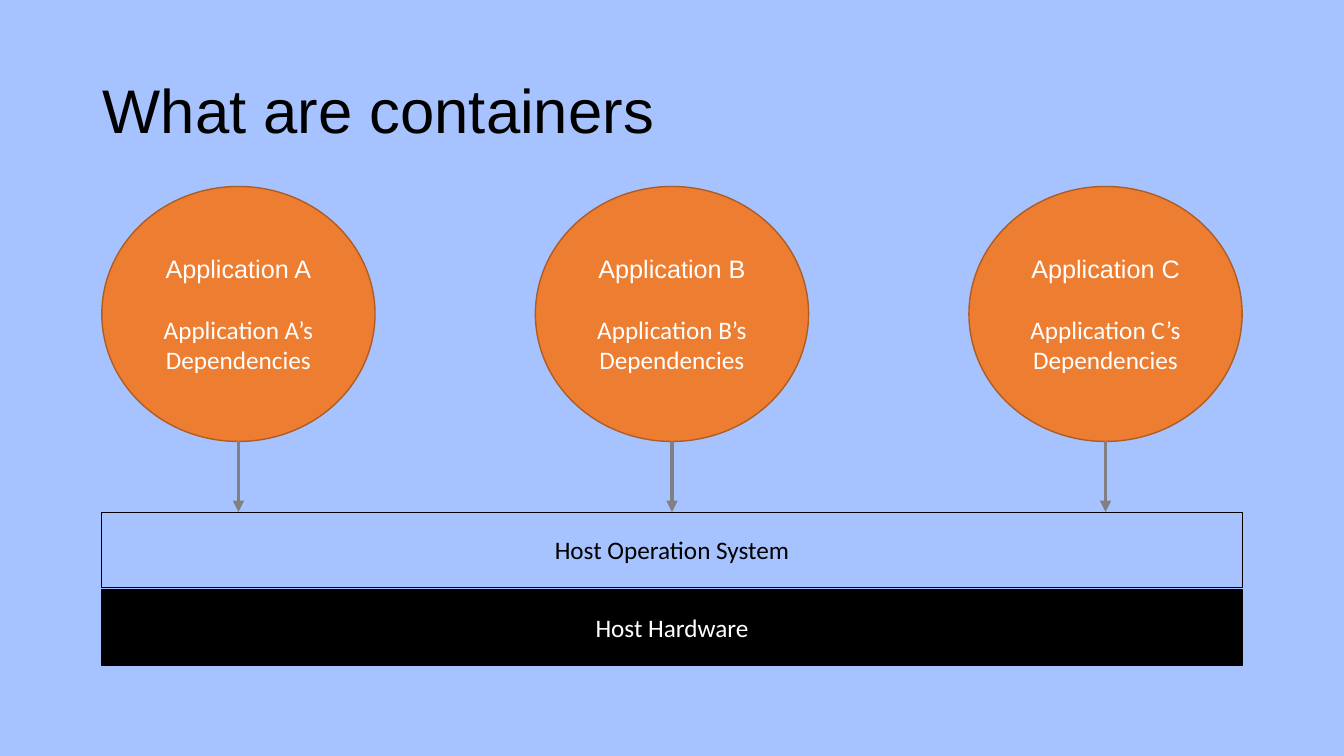
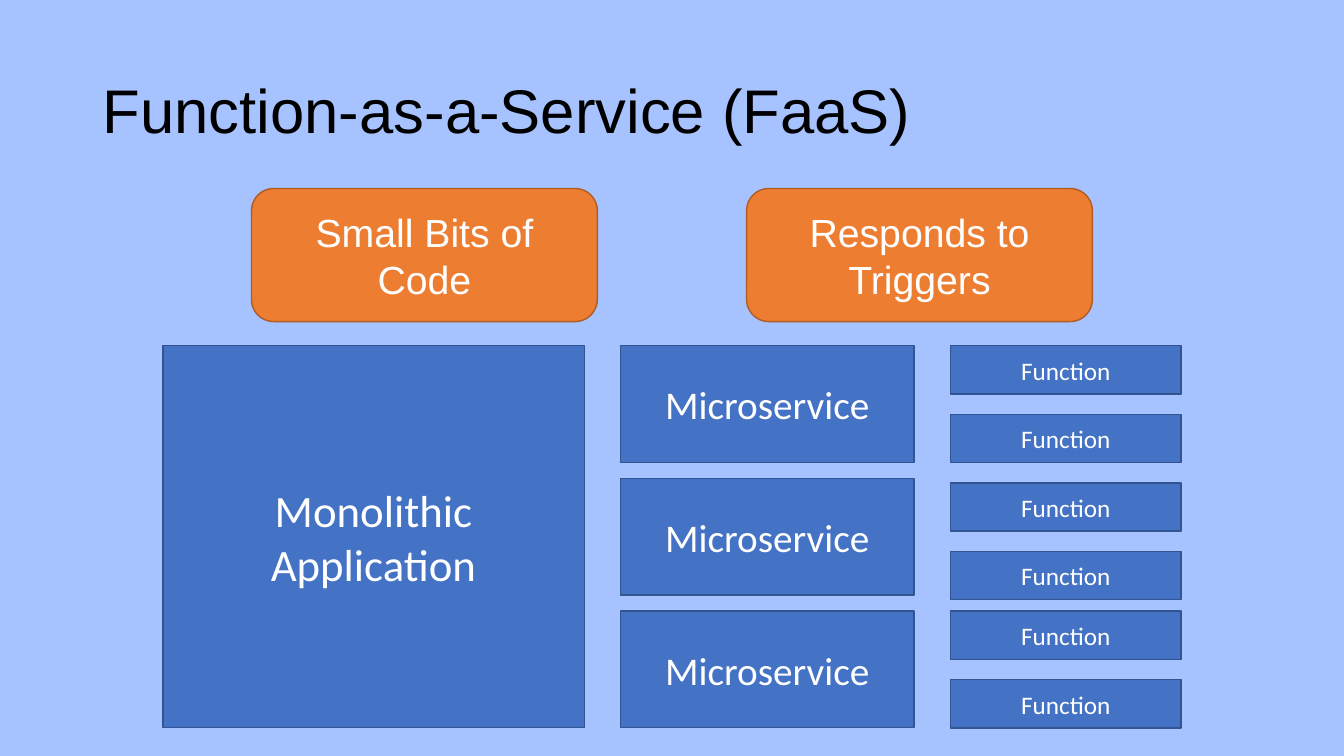
import lxml.etree
import pptx
import pptx.dml.color
import pptx.enum.shapes
import pptx.enum.text
import pptx.oxml.ns
import pptx.util

RGBColor = pptx.dml.color.RGBColor
Inches = pptx.util.Inches
Pt = pptx.util.Pt
SHAPE = pptx.enum.shapes.MSO_SHAPE
ALIGN = pptx.enum.text.PP_ALIGN
ANCHOR = pptx.enum.text.MSO_ANCHOR
qn = pptx.oxml.ns.qn

SKY = RGBColor(0xA6, 0xC3, 0xFF)
ORANGE = RGBColor(0xED, 0x7D, 0x31)
RUST = RGBColor(0xAF, 0x5C, 0x24)
BLUE = RGBColor(0x44, 0x72, 0xC4)
NAVY = RGBColor(0x32, 0x54, 0x91)
GRAY = RGBColor(0x80, 0x80, 0x80)
BLACK = RGBColor(0, 0, 0)
WHITE = RGBColor(0xFF, 0xFF, 0xFF)

HEADING, BODY = "Arial", "Calibri"
SLIDE_W, SLIDE_H = 13.33, 7.5


def centred_columns(widths, gap):
    """Return (left, width) of each column, the set centred on the slide."""
    left = (SLIDE_W - sum(widths) - gap * (len(widths) - 1)) / 2
    columns = []
    for width in widths:
        columns.append((left, width))
        left += width + gap
    return columns


def row_tops(top, height, gap, count):
    return [top + i * (height + gap) for i in range(count)]


def set_font(p, size, name, color):
    p.font.size = Pt(size)
    p.font.name = name
    p.font.color.rgb = color


def style_template(prs):
    """Set the background and title position that all slides inherit."""
    fill = prs.slide_master.background.fill
    fill.solid()
    fill.fore_color.rgb = SKY
    layout = prs.slide_layouts[5]
    title = layout.placeholders[0]
    title.left, title.top = Inches(0.92), Inches(0.4)
    title.width, title.height = Inches(11.5), Inches(1.45)
    return layout


def add_slide(prs, layout, title):
    slide = prs.slides.add_slide(layout)
    tf = slide.shapes.title.text_frame
    tf.text = title
    tf.vertical_anchor = ANCHOR.MIDDLE
    p = tf.paragraphs[0]
    p.alignment = ALIGN.LEFT
    p.line_spacing = 0.9
    set_font(p, 44, HEADING, BLACK)
    return slide


def add_box(shapes, kind, column, top, height, texts, fill, line,
            size=18, fonts=(BODY,), color=WHITE, line_width=1):
    """Add a shape with one centred paragraph per text, a line apart."""
    left, width = column
    sp = shapes.add_shape(kind, Inches(left), Inches(top), Inches(width), Inches(height))
    sp.shadow.inherit = False
    if fill is None:
        sp.fill.background()
    else:
        sp.fill.solid()
        sp.fill.fore_color.rgb = fill
    sp.line.color.rgb = line
    sp.line.width = Pt(line_width)
    tf = sp.text_frame
    tf.word_wrap = True
    tf.vertical_anchor = ANCHOR.MIDDLE
    for i, (text, font) in enumerate(zip(texts, fonts)):
        p = tf.add_paragraph() if i else tf.paragraphs[0]
        p.text = text
        p.alignment = ALIGN.CENTER
        if i:
            p.space_before = Pt(22)
        set_font(p, size, font, color)
    return sp


def add_down_arrow(slide, x, top, bottom):
    cx = slide.shapes.add_connector(pptx.enum.shapes.MSO_CONNECTOR.STRAIGHT,
                                    Inches(x), Inches(top), Inches(x), Inches(bottom))
    cx.line.color.rgb = GRAY
    cx.line.width = Pt(2.75)
    lxml.etree.SubElement(cx.line._get_or_add_ln(), qn("a:tailEnd"), type="triangle")
    lxml.etree.SubElement(cx._element.spPr, qn("a:effectLst"))
    return cx


def build_containers(prs, layout):
    slide = add_slide(prs, layout, "What are containers")
    app_top, app_height = 1.85, 2.53
    host_top, host_height = 5.08, 0.75
    columns = centred_columns([2.71] * 3, 1.59)
    for letter, column in zip("ABC", columns):
        add_box(slide.shapes, SHAPE.OVAL, column, app_top, app_height,
                [f"Application {letter}", f"Application {letter}’s Dependencies"],
                ORANGE, RUST, fonts=(HEADING, BODY))

    host = centred_columns([11.31], 0)[0]
    os_top, hardware_top = row_tops(host_top, host_height, 0.02, 2)
    host_os = add_box(slide.shapes, SHAPE.RECTANGLE, host, os_top, host_height,
                      ["Host Operation System"], None, BLACK,
                      color=BLACK, line_width=0.75)
    add_box(slide.shapes, SHAPE.RECTANGLE, host, hardware_top, host_height,
            ["Host Hardware"], BLACK, BLACK)

    arrows = [add_down_arrow(slide, left + width / 2, app_top + app_height, host_top)
              for left, width in columns]
    arrows[1].end_connect(host_os, 0)


def build_faas(prs, layout):
    slide = add_slide(prs, layout, "Function-as-a-Service (FaaS)")
    top, height = 3.43, 3.79
    monolith, services, functions = centred_columns([4.18, 2.91, 2.29], 0.36)

    def add_code(shapes, column, y, h, text, size):
        add_box(shapes, SHAPE.RECTANGLE, column, y, h, [text], BLUE, NAVY, size)

    add_code(slide.shapes, monolith, top, height, "Monolithic Application", 32)

    service_gap = 0.16
    service_height = (height - 2 * service_gap) / 3
    service_tops = row_tops(top, service_height, service_gap, 3)
    group = slide.shapes.add_group_shape()
    for y in service_tops:
        add_code(group.shapes, services, y, service_height, "Microservice", 28)

    function_height, function_gap = 0.48, 0.2
    group = slide.shapes.add_group_shape()
    for start, count in ((top, 4), (service_tops[-1], 2)):
        for y in row_tops(start, function_height, function_gap, count):
            add_code(group.shapes, functions, y, function_height, "Function", 18)

    traits = ["Small Bits of Code", "Responds to Triggers"]
    for text, column in zip(traits, centred_columns([3.43] * 2, 1.48)):
        add_box(slide.shapes, SHAPE.ROUNDED_RECTANGLE, column, 1.87, 1.32,
                [text], ORANGE, RUST, 28, (HEADING,))


def main():
    prs = pptx.Presentation()
    prs.slide_width, prs.slide_height = Inches(SLIDE_W), Inches(SLIDE_H)
    layout = style_template(prs)
    build_containers(prs, layout)
    build_faas(prs, layout)
    prs.save("out.pptx")


if __name__ == "__main__":
    main()
